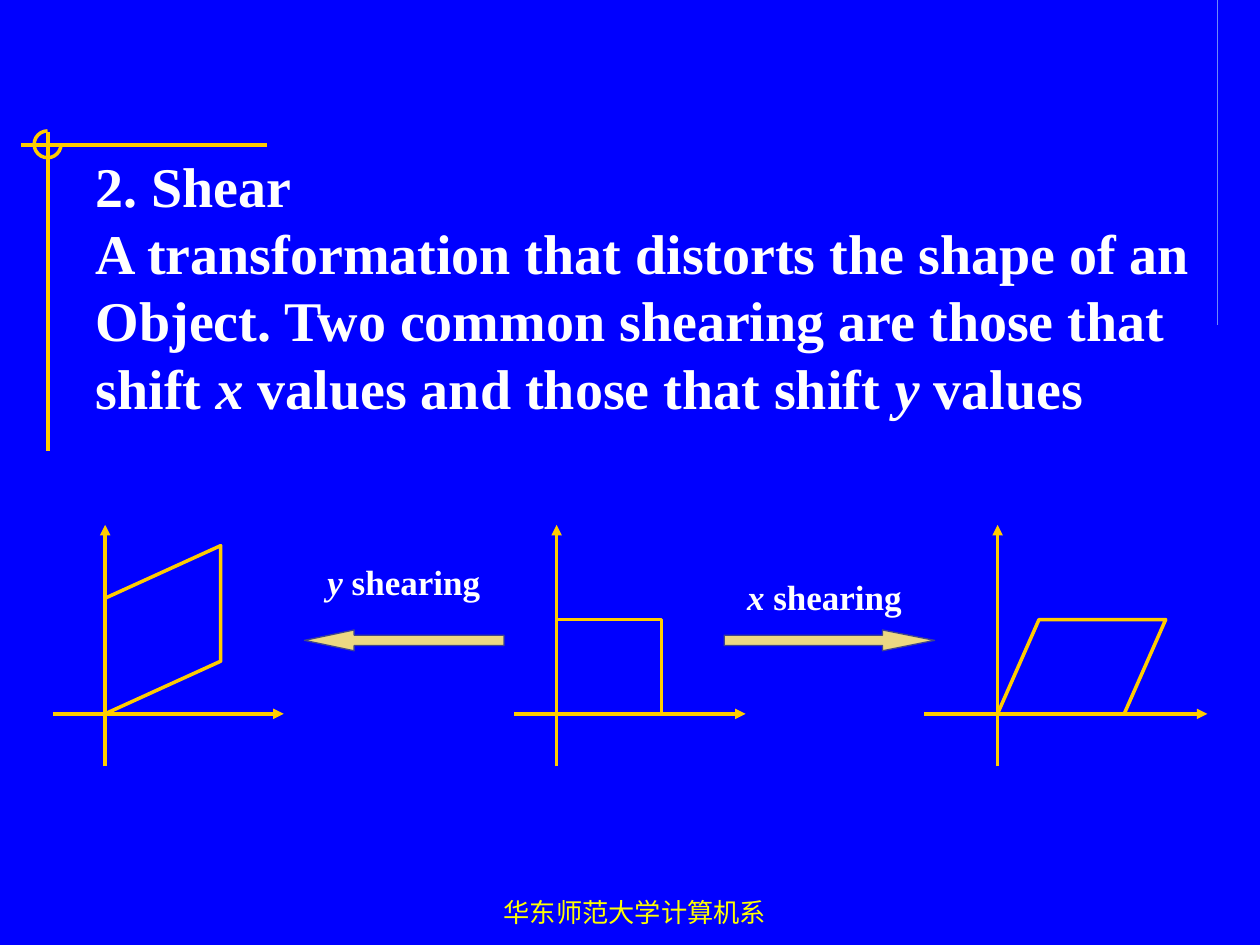
from lxml import etree
from pptx import Presentation
from pptx.dml.color import RGBColor
from pptx.enum import shapes, text
from pptx.oxml import ns
from pptx.util import Cm, Pt

BLUE = RGBColor(0x00, 0x00, 0xFF)
GOLD = RGBColor(0xFF, 0xCC, 0x00)
YELLOW = RGBColor(0xFF, 0xFF, 0x00)
WHITE = RGBColor(0xFF, 0xFF, 0xFF)
SAND = RGBColor(0xEC, 0xD8, 0x82)
INDIGO = RGBColor(0x40, 0x45, 0x8C)
PERIWINKLE = RGBColor(0x6F, 0x89, 0xF7)
SERIF, SANS = "Times New Roman", "Roboto"
KIND = shapes.MSO_SHAPE

DEFINITION = [
    [("2. Shear", False)],
    [("A transformation that distorts the shape of an", False)],
    [("Object. Two common shearing are those that", False)],
    [("shift ", False), ("x", True), (" values and those that shift ", False),
     ("y", True), (" values", False)],
]
FOOTER = [[("华东师范大学计算机系", False)]]
LABELS = [("x", 14.81, 11.46), ("y", 6.35, 11.16)]
LABEL_W, LABEL_H = 3.8, 1.12
DECORATION = [
    (24.55, 0, 24.55, 6.55, PERIWINKLE, 0.75),
    (5.38, 2.92, 0.43, 2.92, GOLD, 2),
    (0.97, 2.67, 0.97, 9.09, GOLD, 2),
]
AXIS_Y, AXIS_TOP, AXIS_BOTTOM = 14.39, 10.58, 15.45
AXES = [(11.22, 10.37, 15.03), (20.11, 18.63, 24.34), (2.12, 1.06, 5.72)]
SQUARE_X, X_SHEAR_X, Y_SHEAR_X = [axis[0] for axis in AXES]
FIGURE_H = 1.9
FIGURES = [(KIND.RECTANGLE, SQUARE_X, 2.12, []),
           (KIND.PARALLELOGRAM, X_SHEAR_X, 3.39, [0.44])]
Y_SHEAR = [(0, 0), (2.33, -1.06), (2.33, -3.39), (0, -2.33)]
ARROWS = [(KIND.RIGHT_ARROW, 14.6, 4.24, [0.5, 2.5]),
          (KIND.LEFT_ARROW, 6.14, 4.02, [0.5, 2.38])]

prs = Presentation()
prs.slide_width, prs.slide_height = Cm(25.4), Cm(19.05)
s = prs.slides.add_slide(prs.slide_layouts[6])
s.background.fill.solid()
s.background.fill.fore_color.rgb = BLUE


def add_line(x1, y1, x2, y2, color=GOLD, width=2, arrow=False):
    line = s.shapes.add_connector(shapes.MSO_CONNECTOR.STRAIGHT,
                                  Cm(x1), Cm(y1), Cm(x2), Cm(y2))
    line.line.color.rgb = color
    line.line.width = Pt(width)
    if arrow:
        ln = line.line._get_or_add_ln()
        etree.SubElement(ln, ns.qn("a:tailEnd"), type="triangle")
    etree.SubElement(line._element.spPr, ns.qn("a:effectLst"))


def paint(sp, fill=BLUE, color=GOLD, width=2):
    sp.shadow.inherit = False
    if fill is None:
        sp.fill.background()
    else:
        sp.fill.solid()
        sp.fill.fore_color.rgb = fill
    sp.line.color.rgb = color
    sp.line.width = Pt(width)


def add_preset(kind, x, y, w, h, adjustments, *style):
    sp = s.shapes.add_shape(kind, Cm(x), Cm(y), Cm(w), Cm(h))
    for i, value in enumerate(adjustments):
        sp.adjustments[i] = value
    paint(sp, *style)


def add_text(lines, x, y, w, h, size, font=SERIF, color=WHITE, bold=True,
             wrap=False, align=text.PP_ALIGN.LEFT, anchor=text.MSO_ANCHOR.TOP,
             spacing=None):
    tf = s.shapes.add_textbox(Cm(x), Cm(y), Cm(w), Cm(h)).text_frame
    tf.word_wrap = wrap
    tf.vertical_anchor = anchor
    for i, runs in enumerate(lines):
        p = tf.add_paragraph() if i else tf.paragraphs[0]
        p.alignment = align
        if spacing:
            p.line_spacing = Pt(spacing)
        for content, italic in runs:
            r = p.add_run()
            r.text = content
            r.font.name, r.font.size = font, Pt(size)
            r.font.bold, r.font.italic = bold, italic
            r.font.color.rgb = color


for line in DECORATION:
    add_line(*line)
add_preset(KIND.ARC, 0.69, 2.64, 0.54, 0.54, [0, 162], None)

add_text(FOOTER, 7.62, 17.56, 10.36, 1.27, 15, SANS, YELLOW, bold=False, wrap=True,
         align=text.PP_ALIGN.CENTER, anchor=text.MSO_ANCHOR.BOTTOM)
add_text(DEFINITION, 1.68, 2.92, 22.91, 5.69, 32, spacing=38.5)

for origin, start, end in AXES:
    add_line(start, AXIS_Y, end, AXIS_Y, arrow=True)
    add_line(origin, AXIS_BOTTOM, origin, AXIS_TOP, arrow=True)
for kind, x, w, adjustments in FIGURES:
    add_preset(kind, x, AXIS_Y - FIGURE_H, w, FIGURE_H, adjustments)

corners = [(Cm(Y_SHEAR_X + dx), Cm(AXIS_Y + dy)) for dx, dy in Y_SHEAR]
outline = s.shapes.build_freeform(*corners[0])
outline.add_line_segments(corners[1:], close=True)
paint(outline.convert_to_shape())

for kind, x, w, adjustments in ARROWS:
    add_preset(kind, x, 12.7, w, 0.42, adjustments, SAND, INDIGO, 0.75)
for axis, x, y in LABELS:
    add_text([[(axis, True), (" shearing", False)]], x, y, LABEL_W, LABEL_H, 20,
             wrap=True, spacing=24.5)

prs.save("out.pptx")
